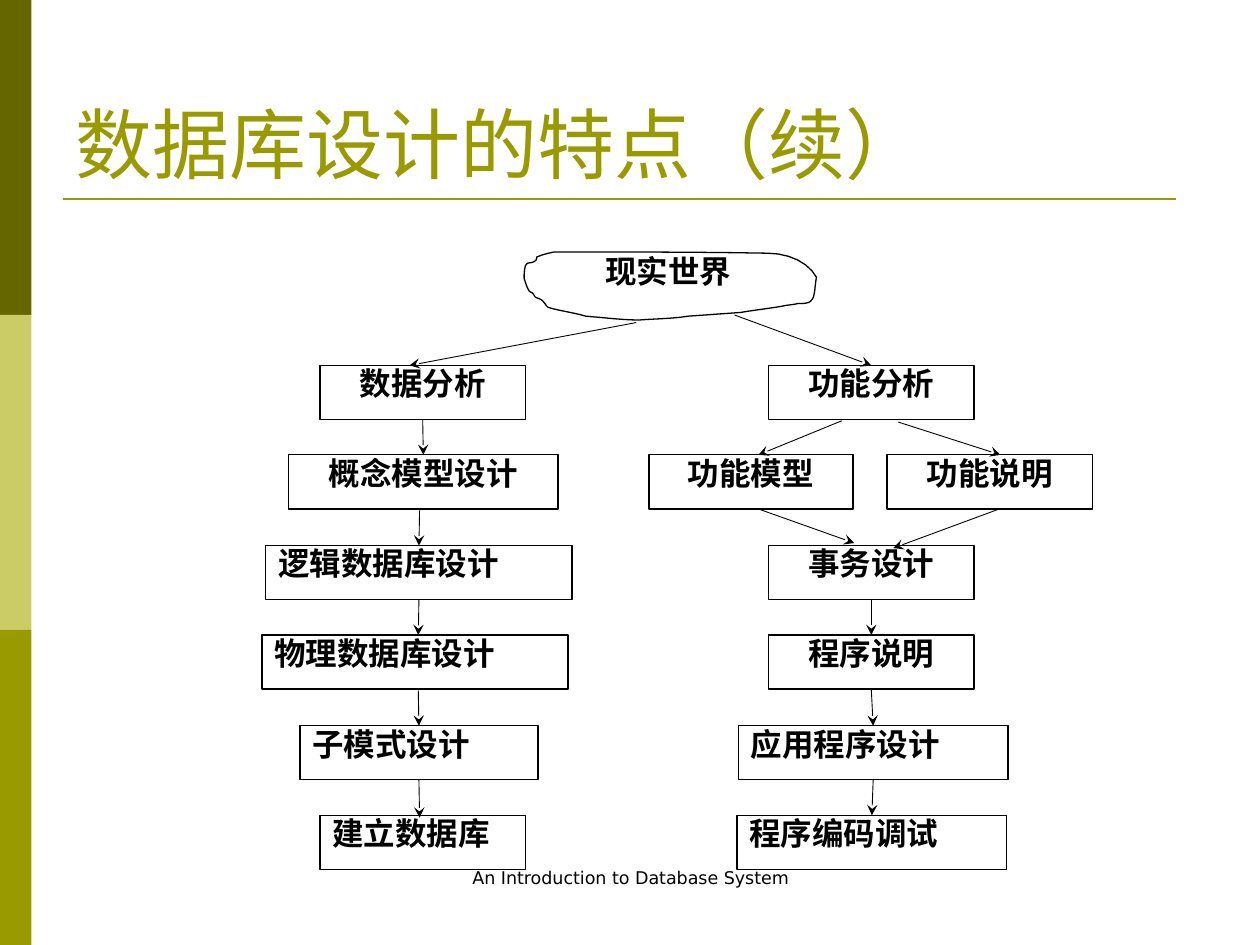
from lxml import etree
from pptx import Presentation
from pptx.dml.color import RGBColor
from pptx.enum.shapes import MSO_CONNECTOR, MSO_SHAPE
from pptx.enum.text import MSO_ANCHOR, MSO_AUTO_SIZE, PP_ALIGN
from pptx.oxml.ns import qn
from pptx.util import Pt

PX = 9144  # EMU in one px, at 100 px to the inch
STRAIGHT = MSO_CONNECTOR.STRAIGHT
RECTANGLE = MSO_SHAPE.RECTANGLE
LEFT, CENTER, JUSTIFY = PP_ALIGN.LEFT, PP_ALIGN.CENTER, PP_ALIGN.JUSTIFY
TOP, BOTTOM = 0, 2

BLACK = RGBColor(0x00, 0x00, 0x00)
DARK_OLIVE = RGBColor(0x66, 0x66, 0x00)
LIGHT_OLIVE = RGBColor(0xCC, 0xCC, 0x66)
OLIVE = RGBColor(0x99, 0x99, 0x00)

TITLE_FONT = {"name": "Times New Roman", "size": Pt(44), "bold": False}
NODE_FONT = {"name": "Times New Roman", "size": Pt(18), "bold": True}
FOOTER_FONT = {"name": "DejaVu Sans", "size": Pt(10), "bold": False}

ROW_TOP, ROW_STEP, ROW_HEIGHT = 290, 71.4, 43

# row, left, width, alignment
NODES = {
    "数据分析": (0, 254, 163, CENTER),
    "概念模型设计": (1, 229, 214, CENTER),
    "逻辑数据库设计": (2, 211, 243, JUSTIFY),
    "物理数据库设计": (3, 208, 243, JUSTIFY),
    "子模式设计": (4, 238, 189, JUSTIFY),
    "建立数据库": (5, 254, 163, JUSTIFY),
    "功能分析": (0, 610, 163, CENTER),
    "功能模型": (1, 515, 162, CENTER),
    "功能说明": (1, 704, 163, CENTER),
    "事务设计": (2, 610, 163, CENTER),
    "程序说明": (3, 610, 163, CENTER),
    "应用程序设计": (4, 586, 214, JUSTIFY),
    "程序编码调试": (5, 585, 214, JUSTIFY),
}

# Each end is a point, or the name of the node it is joined to
ARROWS = [
    ((505, 256), (325, 290)),
    ("数据分析", "概念模型设计"),
    ((333, 405), "逻辑数据库设计"),
    ("逻辑数据库设计", (332, 504)),
    ((332, 548), "子模式设计"),
    ("子模式设计", (333, 649)),
    ((583, 250), "功能分析"),
    ((668, 334), (602, 361)),
    ((713, 335), (794, 361)),
    ((602, 404), (678, 431)),
    ((793, 404), (709, 435)),
    ("事务设计", "程序说明"),
    ("程序说明", "应用程序设计"),
    ("应用程序设计", "程序编码调试"),
]

# Bézier segments of the cloud: two control points and an end, from its corner
CLOUD_START = (10, 4)
CLOUD_CURVES = [
    ((15, 2), (19, 1), (24, 0)),
    ((80, 0), (137, 0), (193, 1)),
    ((211, 1), (226, 9), (232, 20)),
    ((231, 25), (231, 30), (230, 34)),
    ((230, 36), (228, 39), (226, 40)),
    ((223, 41), (220, 41), (217, 41)),
    ((213, 42), (209, 42), (205, 43)),
    ((194, 45), (183, 46), (172, 48)),
    ((158, 49), (130, 51), (130, 51)),
    ((118, 53), (104, 53), (91, 54)),
    ((77, 54), (63, 52), (49, 51)),
    ((39, 48), (29, 47), (19, 44)),
    ((15, 40), (16, 38), (9, 36)),
    ((8, 35), (8, 34), (7, 33)),
    ((6, 32), (5, 32), (4, 31)),
    ((2, 28), (1, 24), (0, 21)),
    ((0, 18), (0, 15), (1, 11)),
    ((3, 7), (5, 10), (9, 7)),
    ((10, 6), (10, 5), (10, 4)),
]


def emu(*lengths):
    return [round(length * PX) for length in lengths]


def set_text(shape, text, font, color=BLACK, alignment=CENTER,
             anchor=MSO_ANCHOR.TOP, spacing=1.0):
    frame = shape.text_frame
    frame.text = text
    frame_format = {"word_wrap": True, "auto_size": MSO_AUTO_SIZE.NONE,
                    "vertical_anchor": anchor}
    for name, value in frame_format.items():
        setattr(frame, name, value)
    paragraph = frame.paragraphs[0]
    paragraph.alignment = alignment
    paragraph.line_spacing = spacing
    run_font = paragraph.runs[0].font
    for name, value in font.items():
        setattr(run_font, name, value)
    run_font.color.rgb = color


def outline(shape):
    shape.shadow.inherit = False
    shape.fill.background()
    shape.line.color.rgb = BLACK
    shape.line.width = Pt(0.75)


def add_line(slide, start, end, color, width):
    line = slide.shapes.add_connector(STRAIGHT, *emu(*start, *end))
    line.line.color.rgb = color
    line.line.width = Pt(width)
    etree.SubElement(line._element.spPr, qn("a:effectLst"))
    return line


def add_side_bar(slide, left, top, width, height):
    colors = (DARK_OLIVE, LIGHT_OLIVE, OLIVE)
    band_height = height / len(colors)
    for index, color in enumerate(colors):
        band = slide.shapes.add_shape(
            RECTANGLE, *emu(left, top + index * band_height, width, band_height))
        band.shadow.inherit = False
        band.fill.solid()
        band.fill.fore_color.rgb = color
        band.line.fill.background()


def add_title(slide, left, top, width, height):
    title = slide.shapes.title
    title.left, title.top, title.width, title.height = emu(left, top, width, height)
    set_text(title, "数据库设计的特点（续）", TITLE_FONT, OLIVE, LEFT, MSO_ANCHOR.BOTTOM)
    rule_top = top + height + 3
    add_line(slide, (left, rule_top), (left + 883, rule_top), OLIVE, 1.5)


def curve_points(start, curves, steps=6):
    """Return points along a chain of cubic Bézier segments."""
    points = []
    for first, second, end in curves:
        for step in range(1, steps + 1):
            t = step / steps
            weights = ((1 - t) ** 3, 3 * t * (1 - t) ** 2, 3 * t * t * (1 - t), t ** 3)
            corners = (start, first, second, end)
            points.append(tuple(sum(weight * corner[axis]
                                    for weight, corner in zip(weights, corners))
                                for axis in (0, 1)))
        start = end
    return points


def add_cloud(slide, left, top):
    points = [emu(left + x, top + y) for x, y in curve_points(CLOUD_START, CLOUD_CURVES)]
    builder = slide.shapes.build_freeform(
        *emu(left + CLOUD_START[0], top + CLOUD_START[1]))
    builder.add_line_segments(points, close=True)
    outline(builder.convert_to_shape())
    label = slide.shapes.add_textbox(*emu(left + 36, top + 1, 157, 51))
    set_text(label, "现实世界", NODE_FONT, spacing=0.8)


def add_nodes(slide):
    nodes = {}
    for text, (row, left, width, alignment) in NODES.items():
        top = round(ROW_TOP + row * ROW_STEP)
        node = slide.shapes.add_shape(RECTANGLE, *emu(left, top, width, ROW_HEIGHT))
        outline(node)
        set_text(node, text, NODE_FONT, alignment=alignment, spacing=0.8)
        nodes[text] = node
    return nodes


def add_arrows(slide, nodes):
    for start, end in ARROWS:
        points = [(0, 0) if point in nodes else point for point in (start, end)]
        arrow = add_line(slide, *points, BLACK, 0.5)
        if start in nodes:
            arrow.begin_connect(nodes[start], BOTTOM)
        if end in nodes:
            arrow.end_connect(nodes[end], TOP)
        etree.SubElement(arrow.line._get_or_add_ln(), qn("a:tailEnd"), type="stealth")


def add_footer(slide, left, top, width, height):
    footer = slide.shapes.add_textbox(*emu(left, top, width, height))
    set_text(footer, "An Introduction to Database System", FOOTER_FONT)


def main():
    presentation = Presentation()
    presentation.slide_width, presentation.slide_height = emu(1000, 750)
    slide = presentation.slides.add_slide(presentation.slide_layouts[5])
    add_side_bar(slide, 0, 0, 25, 750)
    add_title(slide, 50, 30, 900, 125)
    add_cloud(slide, 416, 200)
    add_arrows(slide, add_nodes(slide))
    add_footer(slide, 342, 683, 317, 50)
    presentation.save("out.pptx")


if __name__ == "__main__":
    main()
